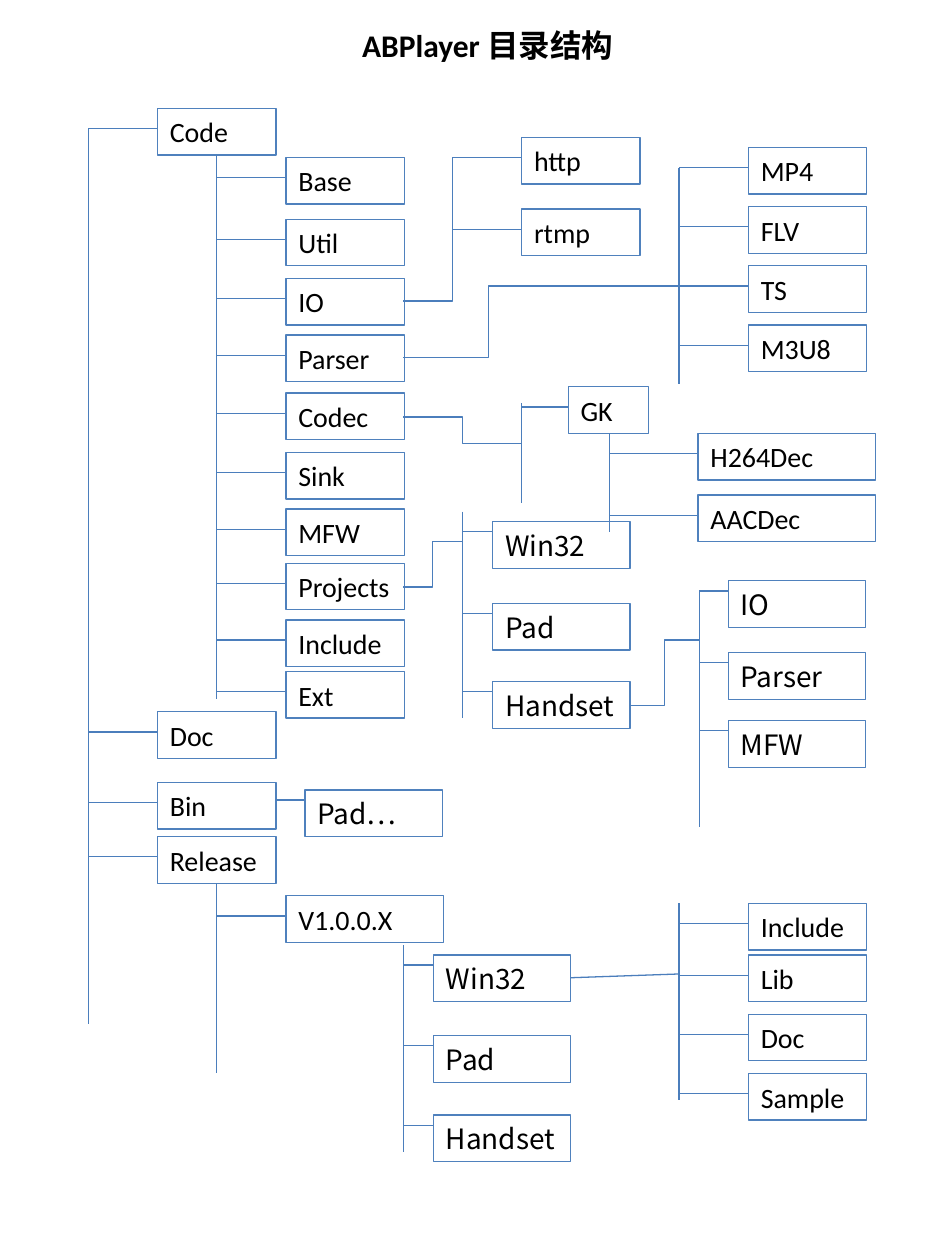
from lxml.etree import SubElement
from pptx import Presentation
from pptx.dml.color import RGBColor
from pptx.enum.shapes import MSO_CONNECTOR as Link, MSO_SHAPE as Shape
from pptx.enum.text import MSO_ANCHOR as Anchor, PP_ALIGN as Align
from pptx.oxml.ns import qn
from pptx.util import Inches, Pt

LATIN, CJK = "Calibri", "Noto Sans CJK SC"
BOX_HEIGHT = 0.37

deck = Presentation()
deck.slide_width, deck.slide_height = Inches(7.5), Inches(10)
slide = deck.slides.add_slide(deck.slide_layouts[5])


def write(shape, text, font=LATIN, size=16, bold=False, align=Align.LEFT):
    frame = shape.text_frame
    frame.word_wrap = True
    frame.vertical_anchor = Anchor.MIDDLE
    paragraph = frame.paragraphs[0]
    paragraph.alignment = align
    run = paragraph.add_run()
    run.text = text
    run.font.name, run.font.size, run.font.bold = font, Pt(size), bold
    run.font.color.rgb = RGBColor.from_string("000000")
    SubElement(run.font._element, qn("a:ea"), typeface=CJK)


def connect(x1, y1, x2, y2, bend=None):
    """Straight line, or an elbow that turns at the given share of its width."""
    kind = Link.STRAIGHT if bend is None else Link.ELBOW
    line = slide.shapes.add_connector(kind, *map(Inches, (x1, y1, x2, y2)))
    line.line.color.rgb = RGBColor.from_string("4B7EBC")
    line.line.width = Pt(0.75)
    properties = line._element.spPr
    SubElement(properties, qn("a:effectLst"))
    if bend is not None:
        guides = properties.find(qn("a:prstGeom")).find(qn("a:avLst"))
        SubElement(guides, qn("a:gd"), name="adj1", fmla=f"val {round(bend * 100000)}")


# Title
title = slide.shapes.title
title.left, title.top, title.width, title.height = map(Inches, (1.02, 0.16, 5.7, 0.4))
write(title, "ABPlayer 目录结构", size=18, bold=True, align=Align.CENTER)

# Branches: trunk x, trunk span, box left, box width, font, {box top: folder}
branches = [
    (0.7, (1.02, 8.13), 1.25, 0.94, LATIN,
     {0.86: "Code", 5.65: "Doc", 6.21: "Bin", 6.64: "Release"}),
    (1.72, (1.23, 5.55), 2.27, 0.94, LATIN,
     {1.25: "Base", 1.74: "Util", 2.21: "IO", 2.66: "Parser", 3.12: "Codec",
      3.59: "Sink", 4.04: "MFW", 4.47: "Projects", 4.92: "Include", 5.33: "Ext"}),
    (3.59, (1.25, 1.88), 4.14, 0.94, LATIN, {1.09: "http", 1.66: "rtmp"}),
    (5.39, (1.33, 3.05), 5.94, 0.94, LATIN,
     {1.17: "MP4", 1.64: "FLV", 2.11: "TS", 2.58: "M3U8"}),
    (4.14, (3.2, 3.99), 4.51, 0.64, LATIN, {3.07: "GK"}),
    (4.84, (3.44, 4.22), 5.54, 1.41, LATIN, {3.44: "H264Dec", 3.93: "AACDec"}),
    (3.67, (4.06, 5.7), 3.91, 1.09, CJK, {4.14: "Win32", 4.79: "Pad", 5.41: "Handset"}),
    (5.55, (4.69, 6.56), 5.78, 1.09, CJK, {4.61: "IO", 5.18: "Parser", 5.72: "MFW"}),
    (2.19, None, 2.42, 1.09, CJK, {6.27: "Pad…"}),
    (1.72, (7.01, 8.52), 2.27, 1.25, LATIN, {7.11: "V1.0.0.X"}),
    (3.2, (7.5, 9.14), 3.44, 1.09, CJK, {7.58: "Win32", 8.22: "Pad", 8.85: "Handset"}),
    (5.39, (7.17, 8.73), 5.94, 0.94, LATIN,
     {7.17: "Include", 7.58: "Lib", 8.05: "Doc", 8.52: "Sample"}),
]
for trunk, span, left, width, font, folders in branches:
    if span:
        connect(trunk, span[0], trunk, span[1])
    stub_drop = 0.16 if font == LATIN else 0.08
    for top, folder in folders.items():
        connect(trunk, top + stub_drop, left, top + stub_drop)
        box = slide.shapes.add_shape(
            Shape.RECTANGLE, *map(Inches, (left, top, width, BOX_HEIGHT)))
        box.shadow.inherit = False
        box.fill.background()
        box.line.color.rgb = RGBColor.from_string("4F81BD")
        box.line.width = Pt(0.75)
        write(box, folder, font=font)

# Links from a folder to the trunk of its subfolders
for link in [
    (3.2, 2.39, 3.59, 1.8, 1),
    (3.2, 2.84, 5.39, 2.27, 0.31),
    (3.2, 3.31, 4.14, 3.52, 0.5),
    (3.2, 4.66, 3.67, 4.3, 0.5),
    (5, 5.6, 5.55, 5.08, 0.5),
    (4.53, 7.76, 5.39, 7.73),
]:
    connect(*link)

deck.save("out.pptx")
